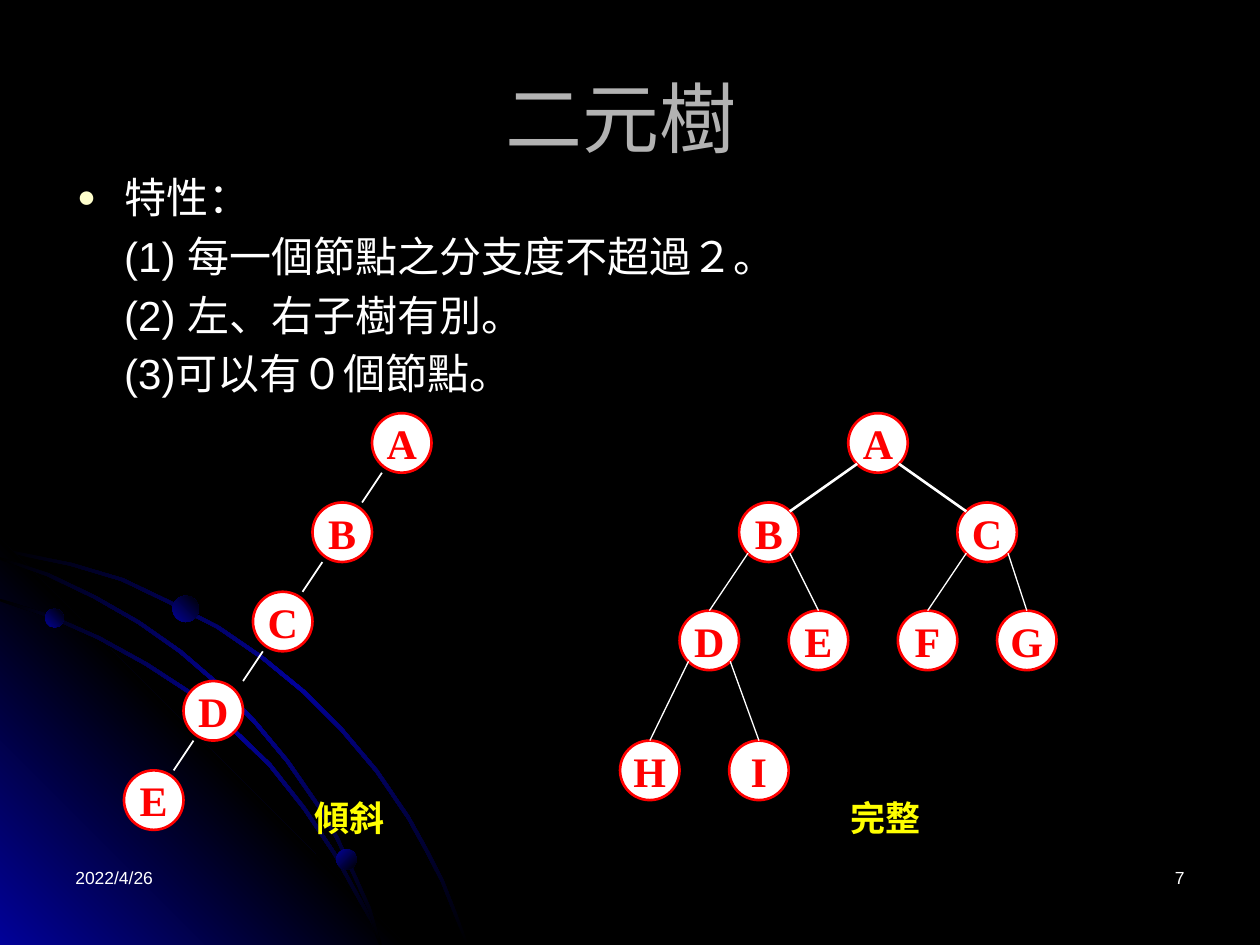
from lxml import etree
from pptx import Presentation
from pptx.dml.color import RGBColor
from pptx.enum.shapes import MSO_CONNECTOR, MSO_SHAPE
from pptx.enum.text import MSO_ANCHOR, PP_ALIGN
from pptx.oxml.ns import qn
from pptx.util import Cm, Pt

OVAL, NODE = MSO_SHAPE.OVAL, MSO_SHAPE.FLOWCHART_CONNECTOR
STRAIGHT = MSO_CONNECTOR.STRAIGHT
LEFT, CENTER, RIGHT = PP_ALIGN.LEFT, PP_ALIGN.CENTER, PP_ALIGN.RIGHT
MIDDLE = MSO_ANCHOR.MIDDLE
TOP_SITE = 0

COLORS = {"black": "000000", "navy": "010199", "white": "FFFFFF", "red": "FF0000",
          "yellow": "FFFF00", "grey": "B2B2B2", "cream": "FFFFCC"}

# Content; all places and sizes are in centimetres
TITLE = "二元樹 "
HEADING = "特性："
PROPERTIES = ["(1) 每一個節點之分支度不超過２。", "(2) 左、右子樹有別。", "(3)可以有０個節點。"]
FOOTERS = [("2022/4/26", 1.27, LEFT), ("7", 18.21, RIGHT)]
CAPTIONS = [("傾斜", 6.1), ("完整", 16.9)]

SKEWED_TOP, SKEWED_STEP = 8.33, 1.8
SKEWED_LEFTS = {"A": 7.5, "B": 6.3, "C": 5.1, "D": 3.7, "E": 2.5}
COMPLETE_LEVELS = [
    (8.33, {"A": 17.1}),
    (10.13, {"B": 14.9, "C": 19.3}),
    (12.31, {"D": 13.7, "E": 15.9, "F": 18.1, "G": 20.1}),
    (14.93, {"H": 12.5, "I": 14.7}),
]
CHILDREN = {"A": "BC", "B": "DE", "C": "FG", "D": "HI"}
DIAMETER = 1.2
DIAGONAL = 0.42  # offset of a point at 45 degrees on the node's rim
SLANT = 0.4      # sideways run of an edge in the skewed tree

WIDTH, HEIGHT = 25.4, 19.05
ARC_WIDTH = 0.05
ARC_OUTER = [(0, 11.05), (0.71, 11.2), (1.45, 11.35), (2.49, 11.66), (3.45, 12.12),
             (4.42, 12.62), (5.31, 13.23), (6.15, 13.92), (6.91, 14.68), (7.62, 15.52),
             (8.26, 16.46), (8.61, 17.09), (8.94, 17.73), (9.19, 18.36), (9.45, HEIGHT)]
ARC_INNER = [(0, 12.07), (1.04, 12.4), (2.01, 12.83), (2.97, 13.36), (3.86, 13.94),
             (4.67, 14.63), (5.46, 15.39), (6.15, 16.26), (6.76, 17.17), (7.26, 18.08),
             (7.52, 18.54), (7.7, HEIGHT)]
ARC_MIDDLE = [(0, 11.23), (0.99, 11.56), (1.93, 12.01), (2.82, 12.52), (3.66, 13.11),
              (4.45, 13.79), (5.18, 14.55), (5.82, 15.32), (6.45, 16.23), (6.83, 16.89),
              (7.16, 17.6), (7.47, 18.29), (7.7, HEIGHT)]
CORNER = [(8.18, HEIGHT), (0, HEIGHT), (0, 10.85)]
PLANETS = [(0.91, 12.27, 0.38, 315), (6.78, 17.12, 0.41, 45), (3.48, 12.01, 0.53, 315)]


def color(name):
    return RGBColor.from_string(COLORS[name])


def write(para, text, size=24, ink="white", font="Arial", bold=False, align=LEFT, before=0):
    para.alignment = align
    para.space_before = Pt(before)
    span = para.add_run()
    span.text = text
    span.font.size, span.font.name, span.font.bold = Pt(size), font, bold
    span.font.color.rgb = color(ink)


def add_label(page, text, left, top, width, height, **style):
    box = page.shapes.add_textbox(Cm(left), Cm(top), Cm(width), Cm(height))
    box.text_frame.word_wrap = True
    write(box.text_frame.paragraphs[0], text, **style)


def paint_gradient(shape, names, angle):
    """Fill with evenly spaced stops; the angle runs clockwise in degrees."""
    shape.shadow.inherit = False
    shape.line.fill.background()
    shape.fill.gradient()
    shape.fill.gradient_angle = (360 - angle) % 360
    stops = next(shape.element.iter(qn("a:gsLst")))
    for stop in list(stops):
        stops.remove(stop)
    for index, name in enumerate(names):
        position = 100000 * index // (len(names) - 1)
        stop = etree.SubElement(stops, qn("a:gs"), pos=str(position))
        etree.SubElement(stop, qn("a:srgbClr"), val=COLORS[name])


def add_outline(page, points, names, angle):
    points = [(Cm(x), Cm(y)) for x, y in points]
    builder = page.shapes.build_freeform(*points[0])
    builder.add_line_segments(points[1:], close=True)
    paint_gradient(builder.convert_to_shape(), names, angle)


def add_arc(page, edge):
    """Draw a thin band from its outer edge, cut off at the slide's borders."""
    inside = [(max(x - ARC_WIDTH, 0), min(y + ARC_WIDTH, HEIGHT)) for x, y in edge]
    add_outline(page, edge + inside[::-1], ["black", "navy", "black"], 45)


def add_decoration(page):
    add_arc(page, ARC_OUTER)
    add_outline(page, CORNER, ["navy", "black", "navy"], 315)
    add_arc(page, ARC_INNER)
    add_arc(page, ARC_MIDDLE)
    for left, top, size, angle in PLANETS:
        planet = page.shapes.add_shape(OVAL, Cm(left), Cm(top), Cm(size), Cm(size))
        paint_gradient(planet, ["navy", "black"], angle)


def set_bullet(para, character=None):
    properties = para._p.get_or_add_pPr()
    properties.set("marL", str(Cm(0.95)))
    properties.set("indent", str(Cm(-0.95 if character else 0)))
    if not character:
        etree.SubElement(properties, qn("a:buNone"))
        return
    tint = etree.SubElement(properties, qn("a:buClr"))
    etree.SubElement(tint, qn("a:srgbClr"), val=COLORS["cream"])
    etree.SubElement(properties, qn("a:buSzPct"), val="75000")
    etree.SubElement(properties, qn("a:buChar"), char=character)


def place(placeholder, left, top, width, height):
    placeholder.left, placeholder.top = Cm(left), Cm(top)
    placeholder.width, placeholder.height = Cm(width), Cm(height)


def fill_placeholders(page):
    title, body = page.shapes.title, page.placeholders[1]
    place(title, 1.27, 0.76, 22.86, 3.18)
    title.text_frame.vertical_anchor = MIDDLE
    write(title.text_frame.paragraphs[0], TITLE, size=44, ink="grey", align=CENTER)
    place(body, 1.3, 3.33, 22.86, 12.57)
    heading = body.text_frame.paragraphs[0]
    set_bullet(heading, "●")
    write(heading, HEADING)
    for text in PROPERTIES:
        para = body.text_frame.add_paragraph()
        set_bullet(para)
        write(para, text, before=4.8)
    for placeholder in (title, body):  # in front of the decoration
        page.shapes.element.append(placeholder.element)


def add_node(page, letter, left, top):
    node = page.shapes.add_shape(NODE, Cm(left), Cm(top), Cm(DIAMETER), Cm(DIAMETER))
    node.shadow.inherit = False
    node.fill.solid()
    node.fill.fore_color.rgb = color("white")
    node.line.color.rgb = color("red")
    node.line.width = Pt(1.5)
    node.text_frame.word_wrap = False
    node.text_frame.vertical_anchor = MIDDLE
    write(node.text_frame.paragraphs[0], letter, ink="red", font="Times New Roman",
          bold=True, align=CENTER)
    return node


def add_edge(page, start, end, weight):
    edge = page.shapes.add_connector(STRAIGHT, *(Cm(value) for value in start + end))
    edge.line.color.rgb = color("white")
    edge.line.width = Pt(weight)
    etree.SubElement(edge.element.spPr, qn("a:effectLst"))
    return edge


def add_skewed_tree(page):
    spots = [(left, SKEWED_TOP + SKEWED_STEP * level)
             for level, left in enumerate(SKEWED_LEFTS.values())]
    for letter, (left, top) in zip(SKEWED_LEFTS, spots):
        add_node(page, letter, left, top)
    for left, top in spots[:-1]:
        x = left + DIAMETER / 2 - SLANT
        add_edge(page, (x, top + DIAMETER), (x - SLANT, top + SKEWED_STEP), 1)


def add_complete_tree(page):
    nodes, centers = {}, {}
    for top, lefts in COMPLETE_LEVELS:
        for letter, left in lefts.items():
            nodes[letter] = add_node(page, letter, left, top)
            centers[letter] = (left + DIAMETER / 2, top + DIAMETER / 2)
    for parent, pair in CHILDREN.items():
        for child, side in zip(pair, (-DIAGONAL, DIAGONAL)):
            (x, y), (child_x, child_y) = centers[parent], centers[child]
            start = (x + side, y + DIAGONAL)
            end = (child_x - side, child_y - DIAGONAL)
            edge = add_edge(page, start, end, 1.5 if parent == "A" else 0.75)
            if parent != "A":
                edge.end_connect(nodes[child], TOP_SITE)


def main():
    deck = Presentation()
    deck.slide_width, deck.slide_height = Cm(WIDTH), Cm(HEIGHT)
    page = deck.slides.add_slide(deck.slide_layouts[1])
    page.background.fill.solid()
    page.background.fill.fore_color.rgb = color("black")
    add_decoration(page)
    for text, left, align in FOOTERS:
        add_label(page, text, left, 17.35, 5.92, 1.27, size=10, align=align)
    fill_placeholders(page)
    add_skewed_tree(page)
    add_complete_tree(page)
    for text, left in CAPTIONS:
        add_label(page, text, left, 15.93, 3, 1.09, size=20, ink="yellow", bold=True)
    deck.save("out.pptx")


if __name__ == "__main__":
    main()
